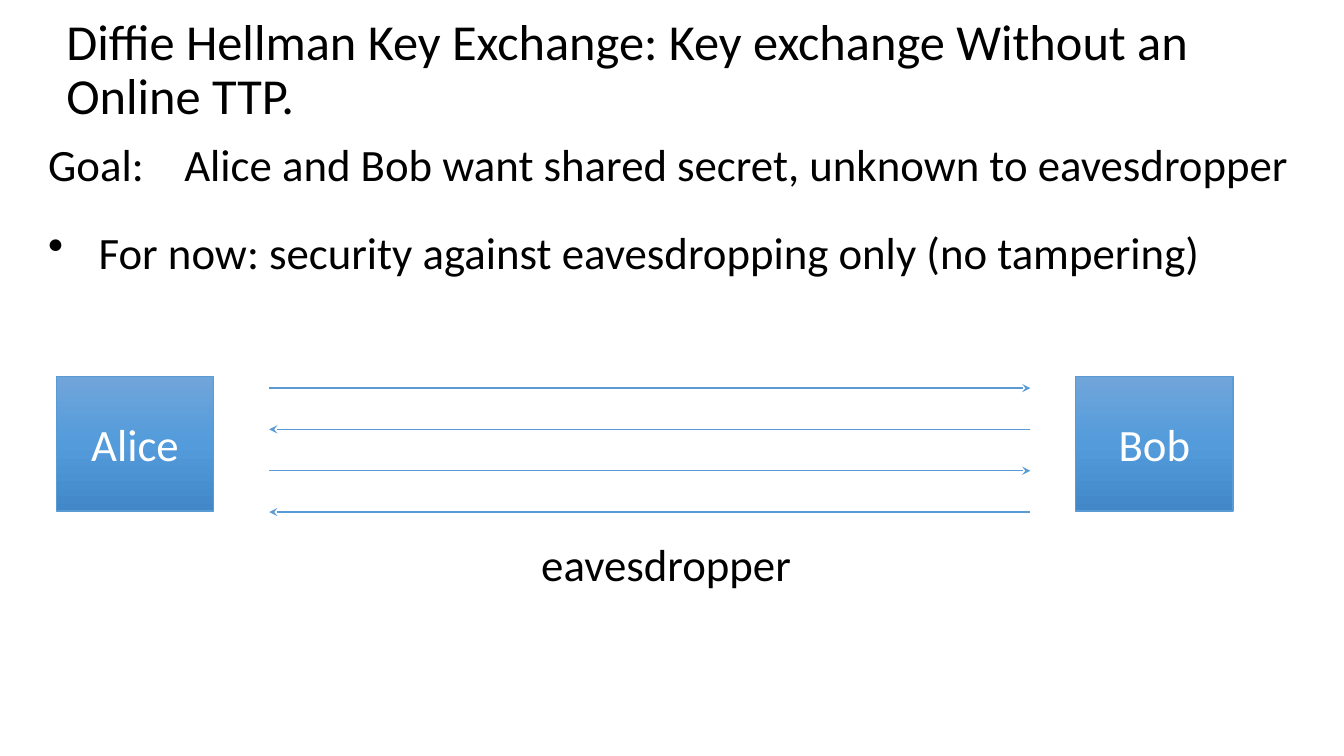
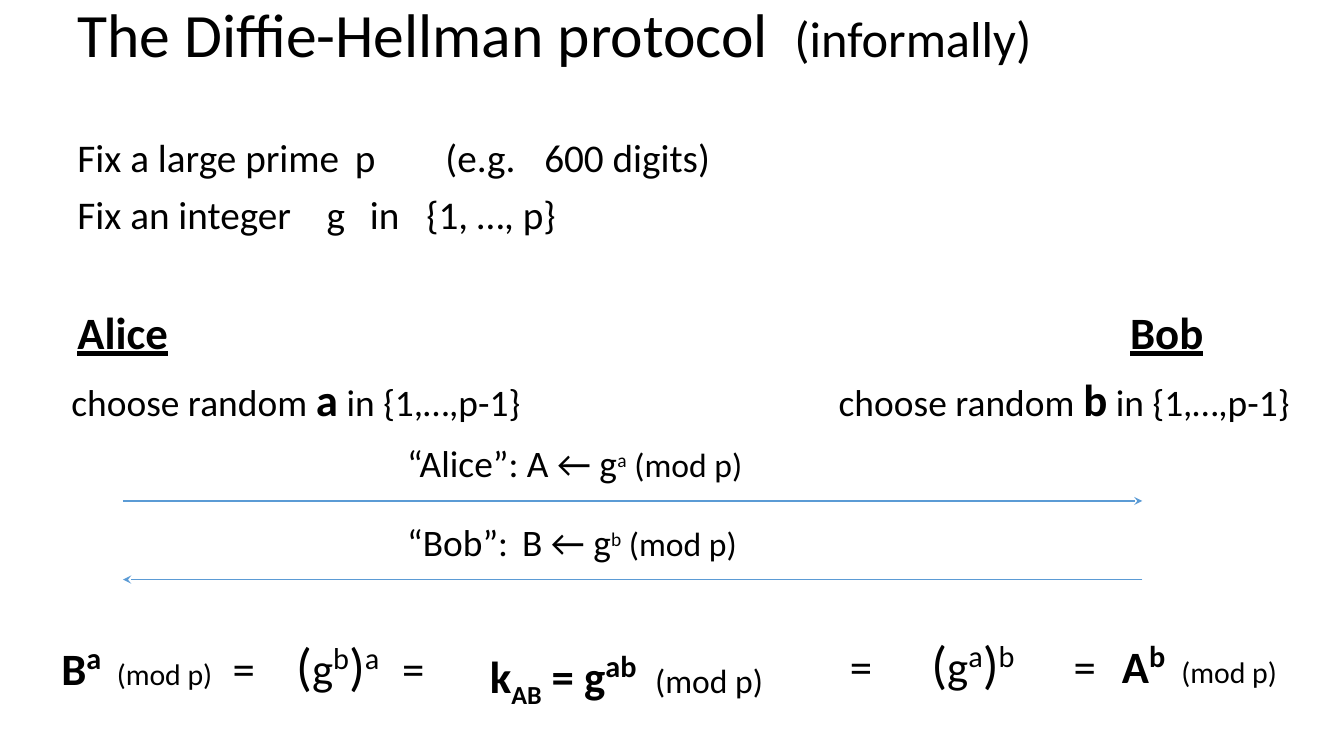
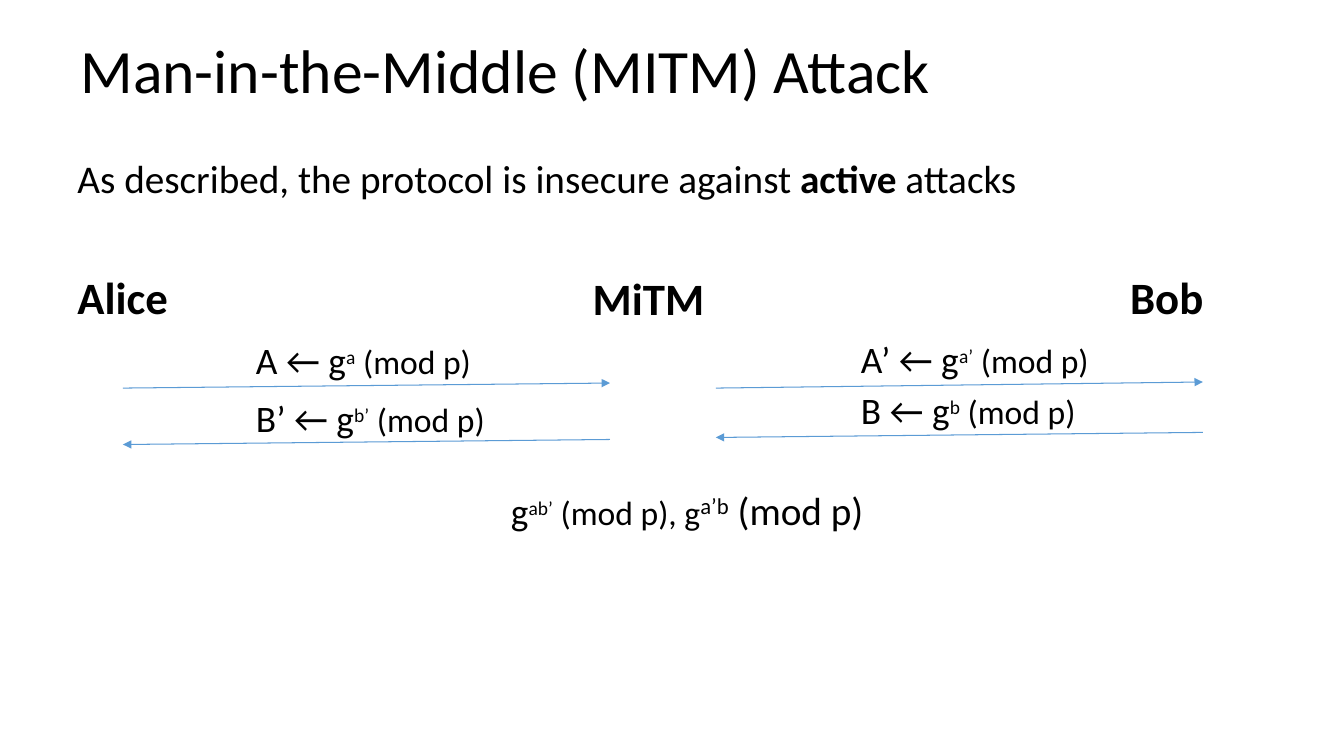
"""Build three slides on the Diffie-Hellman key exchange."""
from copy import deepcopy
from dataclasses import dataclass

from pptx import Presentation, util as u
from pptx.dml.color import RGBColor
from pptx.enum import shapes, text
from pptx.oxml.ns import qn
from lxml import etree

PX = 9144


@dataclass(frozen=True)
class Theme:
    font: str = "Calibri"
    ink: RGBColor = RGBColor(0, 0, 0)
    white: RGBColor = RGBColor(255, 255, 255)
    blue: RGBColor = RGBColor.from_string("5B9BD5")
    fade: tuple = ((0, "70A5DA"), (0.5, "539BDB"), (1, "4288C8"))
    title: float = 44
    power: float = 37.3
    sub: float = 36
    large: float = 32
    body: float = 28
    label: float = 26.7
    mod: float = 24
    small: float = 21.3
    lead: float = 0.9


T = Theme()
BASE = {"^": "30000", "_": "-25000"}


def write(page, at, size, *lines, lead=None, bold=None, line=None, middle=False):
    """Add a text box; a line is a tuple of tab stops followed by its runs."""
    frame = page.shapes.add_textbox(*(n * PX for n in at)).text_frame
    frame.word_wrap = True
    frame.vertical_anchor = text.MSO_ANCHOR.MIDDLE if middle else text.MSO_ANCHOR.TOP
    for i, (tabs, *runs) in enumerate(lines):
        para = frame.add_paragraph() if i else frame.paragraphs[0]
        para.line_spacing = lead
        if tabs:
            stops = etree.SubElement(para._p.get_or_add_pPr(), qn("a:tabLst"))
            for tab in tabs:
                etree.SubElement(stops, qn("a:tab"), pos=str(tab * PX), algn="l")
        font = para.font
        font.name, font.size, font.color.rgb = T.font, u.Pt(size), T.ink
        font.bold, font.underline = bold, line
        for item in runs:
            words, pts, marks = item if isinstance(item, tuple) else (item, None, "")
            run = para.add_run()
            run.text = words
            if pts:
                run.font.size = u.Pt(pts)
            if "b" in marks:
                run.font.bold = True
            for mark in BASE:
                if mark in marks:
                    run.font._element.set("baseline", BASE[mark])
    return frame


def arrow(page, ends, width, head):
    """Draw a blue arrow between two points."""
    wire = page.shapes.add_connector(shapes.MSO_CONNECTOR.STRAIGHT, *(n * PX for n in ends))
    wire.line.color.rgb, wire.line.width = T.blue, u.Pt(width)
    etree.SubElement(wire.line._get_or_add_ln(), qn("a:tailEnd"), type=head)
    etree.SubElement(wire._element.spPr, qn("a:effectLst"))


deck = Presentation()
deck.slide_width, deck.slide_height = 1333 * PX, 750 * PX
pages = []
for at, size, *runs in (
    ((56, -2, 1150, 145), T.sub, (),
     "Diffie Hellman Key Exchange: Key exchange Without an Online TTP."),
    ((67, -25, 1233, 125), T.title, (711,),
     "The Diffie-Hellman protocol", ("\t(informally)", T.sub, "")),
    ((70, 0, 1150, 145), T.title, (), "Man-in-the-Middle (MITM) Attack"),
):
    page = deck.slides.add_slide(deck.slide_layouts[6])
    write(page, at, size, runs, lead=T.lead, middle=True)
    pages.append(page)
goal, plan, attack = pages

for name, left in (("Bob", 1067), ("Alice", 56)):
    box = goal.shapes.add_shape(
        shapes.MSO_SHAPE.RECTANGLE, *(n * PX for n in (left, 374, 156, 133)))
    box.shadow.inherit = False
    box.fill.gradient()
    box.fill.gradient_angle = 270
    stops = box._element.spPr.find(".//" + qn("a:gsLst"))
    stops.insert(1, deepcopy(stops[0]))
    for stop, (spot, tint) in zip(box.fill.gradient_stops, T.fade):
        stop.position, stop.color.rgb = spot, RGBColor.from_string(tint)
    box.line.color.rgb, box.line.width = T.blue, u.Pt(0.75)
    para = box.text_frame.paragraphs[0]
    para.text, para.alignment = name, text.PP_ALIGN.CENTER
    para.font.name, para.font.size, para.font.color.rgb = T.font, u.Pt(T.large), T.white

notes = write(
    goal, (38, 131, 1263, 151), T.large,
    ((135,), "Goal:\tAlice and Bob want shared secret, unknown to eavesdropper"),
    ((), "For now: security against eavesdropping only (no tampering)"))
para = notes.paragraphs[1]
para.space_before = u.Pt(24)
props = para._p.get_or_add_pPr()
props.set("marL", str(50 * PX))
props.set("indent", str(-50 * PX))
mark = etree.Element(qn("a:buChar"), char="•")
props.find(qn("a:defRPr")).addprevious(mark)

for i in range(4):
    y = 385 + 41 * i
    ends = (1022, y, 267, y) if i % 2 else (267, y, 1022, y)
    arrow(goal, ends, 1, "stealth")
write(goal, (527, 528, 270, 64), T.large, ((), "eavesdropper"))

setup = write(
    plan, (67, 133, 1138, 167), T.body,
    ((275, 365, 463), "Fix a large prime\tp\t(e.g.\t600 digits)"),
    ((247, 290, 346), "Fix an integer\tg\tin\t{1, …, p}"),
    lead=T.lead)
setup.paragraphs[1].space_before = u.Pt(10)

for page, y, line in ((plan, 297, True), (attack, 263, None)):
    for name, left, width in (("Alice", 67, 111), ("Bob", 1111, 94)):
        write(page, (left, y, width, 64), T.large, ((), name), bold=True, line=line)
write(attack, (578, 264, 132, 64), T.large, ((), "MiTM"), bold=True)

for key, left in (("a", 61), ("b", 822)):
    write(plan, (left, 364, 470, 64), T.label,
          ((), "choose random ", (key, T.large, "b"), " in {1,…,p-1}"))
arrow(plan, (1133, 575, 122, 575), 1, "stealth")
arrow(plan, (122, 497, 1133, 497), 1, "stealth")

write(plan, (476, 631, 305, 64), T.large,
      ((164,), ("k", None, "b"), ("AB", None, "b_"), (" = g", None, "b"),
       ("ab", T.power, "b^"), ("\t(mod p)", T.mod, "")))
write(plan, (833, 621, 460, 73), T.large,
      ((81, 222, 270, 329), "=", ("\t(", T.power, ""), "g", ("a", T.power, "^"),
       (")", T.power, ""), ("b", T.power, "^"), "\t=", ("\tA", None, "b"),
       ("b", T.power, "b^"), ("\t(mod p)", T.small, "")))
write(plan, (51, 623, 395, 73), T.large,
      ((55, 170, 233, 338), ("B", None, "b"), ("a", T.power, "b^"),
       ("\t(mod p)", T.small, ""), "\t=", ("\t(", T.power, ""), "g",
       ("b", T.power, "^"), (")", T.power, ""), ("a", T.power, "^"), "\t="))

for page, at, tabs, words, key in (
    (plan, (394, 432, 358, 55), (), "“Alice”: A ← g", "a"),
    (plan, (394, 510, 355, 55), (114,), "“Bob”:\tB ← g", "b"),
    (attack, (244, 330, 239, 55), (), "A ← g", "a"),
    (attack, (844, 329, 252, 55), (), "A’ ← g", "a’"),
    (attack, (844, 379, 239, 55), (), "B ← g", "b"),
    (attack, (244, 387, 253, 55), (), "B’ ← g", "b’"),
):
    write(page, at, T.label, (tabs, words, (key, T.mod, "^"), (" (mod p)", T.mod, "")))

write(attack, (67, 153, 1200, 89), T.body,
      ((), "As described, the protocol is insecure against ", ("active", None, "b"), " attacks"),
      lead=T.lead)
for ends in ((122, 385, 605, 380), (710, 385, 1193, 379),
             (605, 436, 122, 441), (1193, 429, 710, 434)):
    arrow(attack, ends, 0.75, "triangle")
write(attack, (497, 478, 387, 57), T.label,
      ((), "g", ("ab’", T.mod, "^"), (" (mod p), g", T.mod, ""),
       ("a’b", T.body, "^"), (" (mod p)", T.body, "")))

deck.save("out.pptx")
